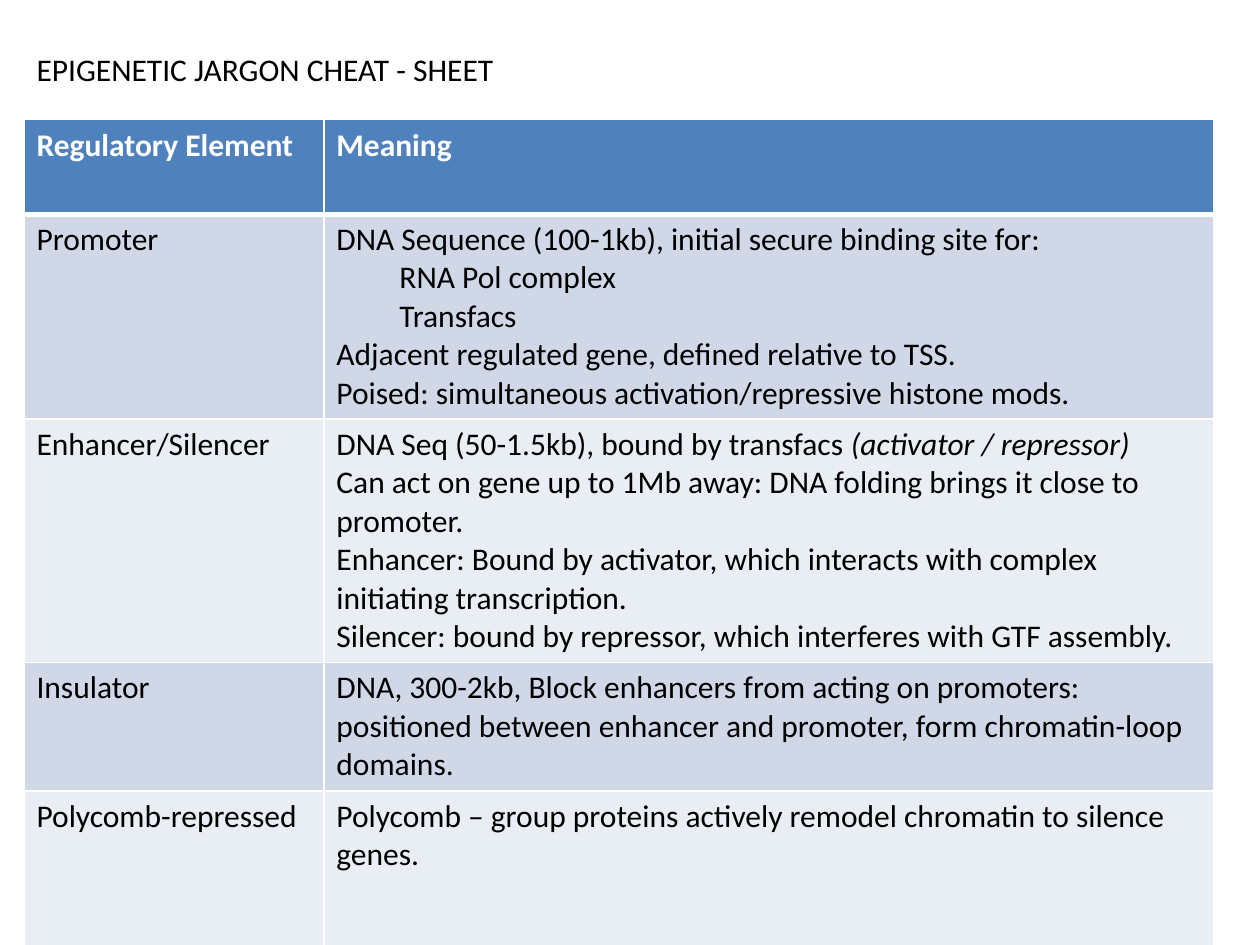
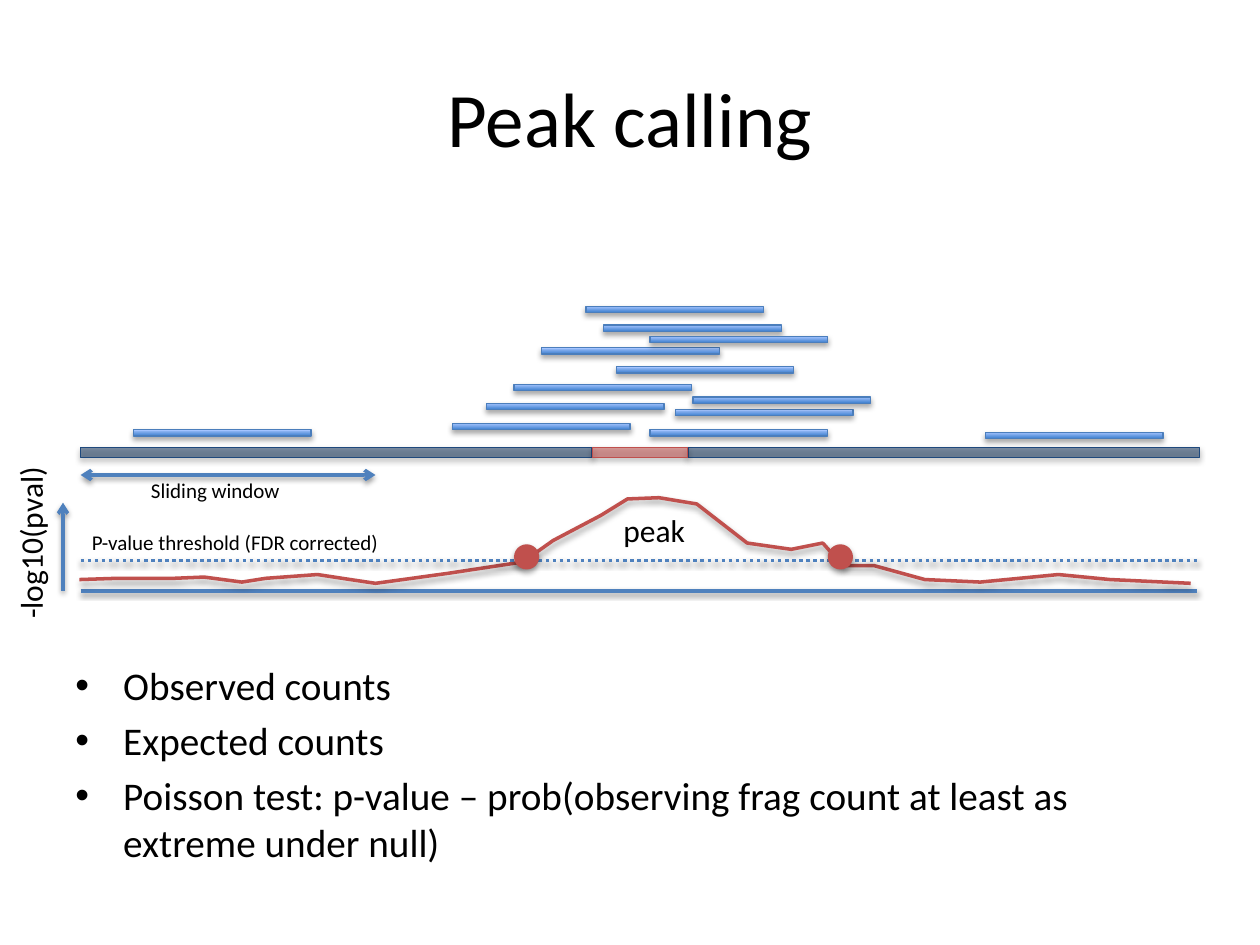
from lxml.etree import SubElement
from pptx import Presentation
from pptx.dml.color import RGBColor
from pptx.enum.dml import MSO_LINE
from pptx.enum.shapes import MSO_CONNECTOR as Connector, MSO_SHAPE as Preset
from pptx.enum.text import MSO_ANCHOR as Anchor, MSO_AUTO_SIZE as AutoSize, PP_ALIGN as Align
from pptx.oxml.ns import qn
from pptx.util import Inches, Pt

COLUMNS = 100
TITLE_ONLY = 5
BLACK, WHITE = "000000", "FFFFFF"
BLUE, RED = "4F81BD", "C0504D"
NAVY, NAVY_EDGE = "17375E", "1F497D"
FRAGMENT_DARK, FRAGMENT_LIGHT, FRAGMENT_EDGE = "3F80CE", "A4C4FF", "4B7EBC"
BANDS = ("D0D8E8", "E9EDF4")

TABLE_COLUMNS = (23.8, 70.6)
TABLE_ROWS = (7.5, 16.1, 19.3, 10.2, 12.4)
JARGON = [
    ("Regulatory Element", ["Meaning"]),
    ("Promoter", [
        "DNA Sequence (100-1kb), initial secure binding site for:",
        ("RNA Pol complex",),
        ("Transfacs",),
        "Adjacent regulated gene, defined relative to TSS.",
        "Poised: simultaneous activation/repressive histone mods.",
    ]),
    ("Enhancer/Silencer", [
        ["DNA Seq (50-1.5kb), bound by transfacs ", "(activator / repressor)"],
        "Can act on gene up to 1Mb away: DNA folding brings it close to promoter.",
        "Enhancer: Bound by activator, which interacts with complex initiating transcription.",
        "Silencer: bound by repressor, which interferes with GTF assembly.",
    ]),
    ("Insulator", [
        "DNA, 300-2kb, Block enhancers from acting on promoters: positioned between "
        "enhancer and promoter, form chromatin-loop domains.",
    ]),
    ("Polycomb-repressed", [
        "Polycomb – group proteins actively remodel chromatin to silence genes.",
    ]),
]

FRAGMENT_SIZE = (14.1, 0.5)
FRAGMENTS = [
    (35.9, 33.6), (38.6, 32), (51.6, 34.1), (40.8, 30.5), (53.6, 32.5),
    (55, 31.5), (48.9, 29.1), (43, 27.6), (47.9, 25.8), (51.6, 26.7),
    (46.5, 24.3), (10.6, 34.1), (78.2, 34.3),
]
SIGNAL = [
    (6.3, 46), (9.3, 45.9), (13.8, 45.9), (16.2, 45.8), (19.2, 46.2),
    (21.1, 45.9), (25.2, 45.6), (27.8, 46), (29.8, 46.3), (32.7, 45.9),
    (35.6, 45.5), (41.5, 44.6), (43.9, 42.9), (47.7, 40.9), (49.8, 39.6),
    (52.3, 39.5), (55.3, 40), (59.3, 43.1), (62.8, 43.6), (65.3, 43.1),
    (66.9, 44.9), (69.4, 44.9), (73.4, 46), (77.8, 46.2), (84, 45.6),
    (88.1, 46), (94.5, 46.3),
]


def colour(code):
    return RGBColor.from_string(code)


class SlideBuilder:
    font_name = "Calibri"

    def __init__(self):
        self.presentation = Presentation()
        self.presentation.slide_width = Inches(10)
        self.presentation.slide_height = Inches(7.5)
        self.unit = self.presentation.slide_width / COLUMNS
        self.slide = None

    def grid(self, *values):
        return [round(value * self.unit) for value in values]

    def new_slide(self):
        layout = self.presentation.slide_layouts[TITLE_ONLY]
        self.slide = self.presentation.slides.add_slide(layout)

    def run(self, paragraph, text, size, code=BLACK, bold=False, italic=False):
        run = paragraph.add_run()
        run.text = text
        font = run.font
        font.name, font.size = self.font_name, Pt(size)
        font.bold, font.italic = bold, italic
        font.color.rgb = colour(code)

    def title(self, text, box, size, align, anchor):
        shape = self.slide.shapes.title
        shape.left, shape.top, shape.width, shape.height = self.grid(*box)
        frame = shape.text_frame
        frame.auto_size = AutoSize.NONE
        frame.vertical_anchor = anchor
        frame.paragraphs[0].alignment = align
        self.run(frame.paragraphs[0], text, size)

    def label(self, text, box, size, rotation=0):
        shape = self.slide.shapes.add_textbox(*self.grid(*box))
        shape.rotation = rotation
        shape.text_frame.word_wrap = False
        self.run(shape.text_frame.paragraphs[0], text, size)

    def bullets(self, items, box, size):
        frame = self.slide.shapes.add_textbox(*self.grid(*box)).text_frame
        frame.word_wrap = True
        for index, item in enumerate(items):
            paragraph = frame.add_paragraph() if index else frame.paragraphs[0]
            properties = paragraph._p.get_or_add_pPr()
            properties.set("marL", str(Inches(0.38)))
            properties.set("indent", str(-Inches(0.38)))
            SubElement(properties, qn("a:buFont"), typeface="Arial")
            SubElement(properties, qn("a:buChar"), char="•")
            if index:
                paragraph.space_before = Pt(size * 0.2)
            self.run(paragraph, item, size)

    def cast_shadow(self, effects, opacity, distance):
        shadow = SubElement(effects, qn("a:outerShdw"), blurRad=str(Pt(3.1)),
                            dist=str(Pt(distance)), dir="5400000", rotWithShape="0")
        tint = SubElement(shadow, qn("a:srgbClr"), val=BLACK)
        SubElement(tint, qn("a:alpha"), val=str(opacity * 1000))

    def shape_shadow(self, shape, opacity=35, distance=1.8):
        shape.shadow.inherit = False
        effects = shape._element.spPr.find(qn("a:effectLst"))
        self.cast_shadow(effects, opacity, distance)

    def shape(self, preset, box, fill, edge=None, opacity=100):
        shape = self.slide.shapes.add_shape(preset, *self.grid(*box))
        if isinstance(fill, tuple):
            shape.fill.gradient()
            shape.fill.gradient_angle = 90
            for stop, code in zip(shape.fill.gradient_stops, fill):
                stop.color.rgb = colour(code)
        else:
            shape.fill.solid()
            shape.fill.fore_color.rgb = colour(fill)
            if opacity < 100:
                tint = shape._element.spPr.find(qn("a:solidFill"))[0]
                SubElement(tint, qn("a:alpha"), val=str(opacity * 1000))
        if edge:
            shape.line.color.rgb = colour(edge)
            shape.line.width = Pt(0.75)
        else:
            shape.line.fill.background()
        self.shape_shadow(shape)

    def line(self, start, end, head=False, tail=False, dotted=False):
        connector = self.slide.shapes.add_connector(
            Connector.STRAIGHT, *self.grid(*start, *end))
        connector.line.color.rgb = colour(BLUE)
        connector.line.width = Pt(2)
        if dotted:
            connector.line.dash_style = MSO_LINE.ROUND_DOT
        properties = connector._element.spPr
        outline = properties.find(qn("a:ln"))
        for wanted, tag in ((head, "a:headEnd"), (tail, "a:tailEnd")):
            if wanted:
                SubElement(outline, qn(tag), type="arrow")
        self.cast_shadow(SubElement(properties, qn("a:effectLst")), 38, 1.6)

    def curve(self, points, code):
        first, *others = [self.grid(*point) for point in points]
        builder = self.slide.shapes.build_freeform(*first)
        builder.add_line_segments(others, close=False)
        shape = builder.convert_to_shape()
        shape.fill.background()
        shape.line.color.rgb = colour(code)
        shape.line.width = Pt(2)
        self.shape_shadow(shape, 38, 1.6)

    def borders(self, cell, top, bottom):
        properties = cell._tc.get_or_add_tcPr()
        for side, width in (("L", 1), ("R", 1), ("T", top), ("B", bottom)):
            border = SubElement(properties, qn(f"a:ln{side}"), w=str(Pt(width)))
            fill = SubElement(border, qn("a:solidFill"))
            SubElement(fill, qn("a:srgbClr"), val=WHITE)

    def cell(self, cell, paragraphs, row):
        header = row == 0
        self.borders(cell, 3 if row == 1 else 1, 3 if header else 1)
        cell.fill.solid()
        cell.fill.fore_color.rgb = colour(BLUE if header else BANDS[(row - 1) % 2])
        frame = cell.text_frame
        for index, content in enumerate(paragraphs):
            paragraph = frame.add_paragraph() if index else frame.paragraphs[0]
            if isinstance(content, tuple):
                paragraph._p.get_or_add_pPr().set("marL", str(Inches(0.5)))
            texts = [content] if isinstance(content, str) else content
            for position, text in enumerate(texts):
                self.run(paragraph, text, 18, WHITE if header else BLACK,
                         bold=header, italic=position > 0)

    def table(self, rows, left, top, widths, heights):
        box = self.grid(left, top, sum(widths), sum(heights))
        table = self.slide.shapes.add_table(len(rows), len(widths), *box).table
        for column, width in zip(table.columns, self.grid(*widths)):
            column.width = width
        for row, height in zip(table.rows, self.grid(*heights)):
            row.height = height
        for row, (element, meaning) in enumerate(rows):
            self.cell(table.cell(row, 0), [element], row)
            self.cell(table.cell(row, 1), meaning, row)


def build_cheat_sheet(builder):
    builder.new_slide()
    builder.title("EPIGENETIC JARGON CHEAT - SHEET", (1.9, 3.5, 60, 4), 18,
                  Align.LEFT, Anchor.TOP)
    builder.table(JARGON, 1.9, 9.5, TABLE_COLUMNS, TABLE_ROWS)


def build_peak_calling(builder):
    builder.new_slide()
    builder.title("Peak calling", (5, 3, 90, 12.5), 44, Align.CENTER, Anchor.MIDDLE)
    builder.bullets([
        "Observed counts",
        "Expected counts",
        "Poisson test: p-value – prob(observing frag count at least as extreme under null)",
    ], (5, 52, 90, 15), 22.4)

    for left, width, fill, edge in ((6.4, 40.6, NAVY, NAVY_EDGE),
                                    (54.6, 40.6, NAVY, NAVY_EDGE),
                                    (47, 7.6, RED, RED)):
        builder.shape(Preset.RECTANGLE, (left, 35.5, width, 0.8), fill, edge, 55)
    for corner in FRAGMENTS:
        builder.shape(Preset.RECTANGLE, corner + FRAGMENT_SIZE,
                      (FRAGMENT_DARK, FRAGMENT_LIGHT), FRAGMENT_EDGE)

    builder.line((6.4, 37.7), (29.8, 37.7), head=True, tail=True)
    builder.line((6.4, 46.9), (95, 46.9))
    builder.line((5, 46.9), (5, 39.9), tail=True)
    builder.label("-log10(pval)", (-4.7, 41, 14.2, 4), 18, rotation=270)
    builder.curve(SIGNAL, RED)
    builder.line((6.4, 44.5), (95, 44.5), dotted=True)
    for left in (40.8, 65.7):
        builder.shape(Preset.OVAL, (left, 43.2, 2, 2), RED)
    builder.label("peak", (48.5, 40.1, 7, 4), 18)
    builder.label("Sliding window", (11, 37.4, 12.3, 3), 12)
    builder.label("P-value threshold (FDR corrected)", (6.3, 41.5, 25.1, 3), 12)


def main():
    builder = SlideBuilder()
    build_cheat_sheet(builder)
    build_peak_calling(builder)
    builder.presentation.save("out.pptx")


if __name__ == "__main__":
    main()
